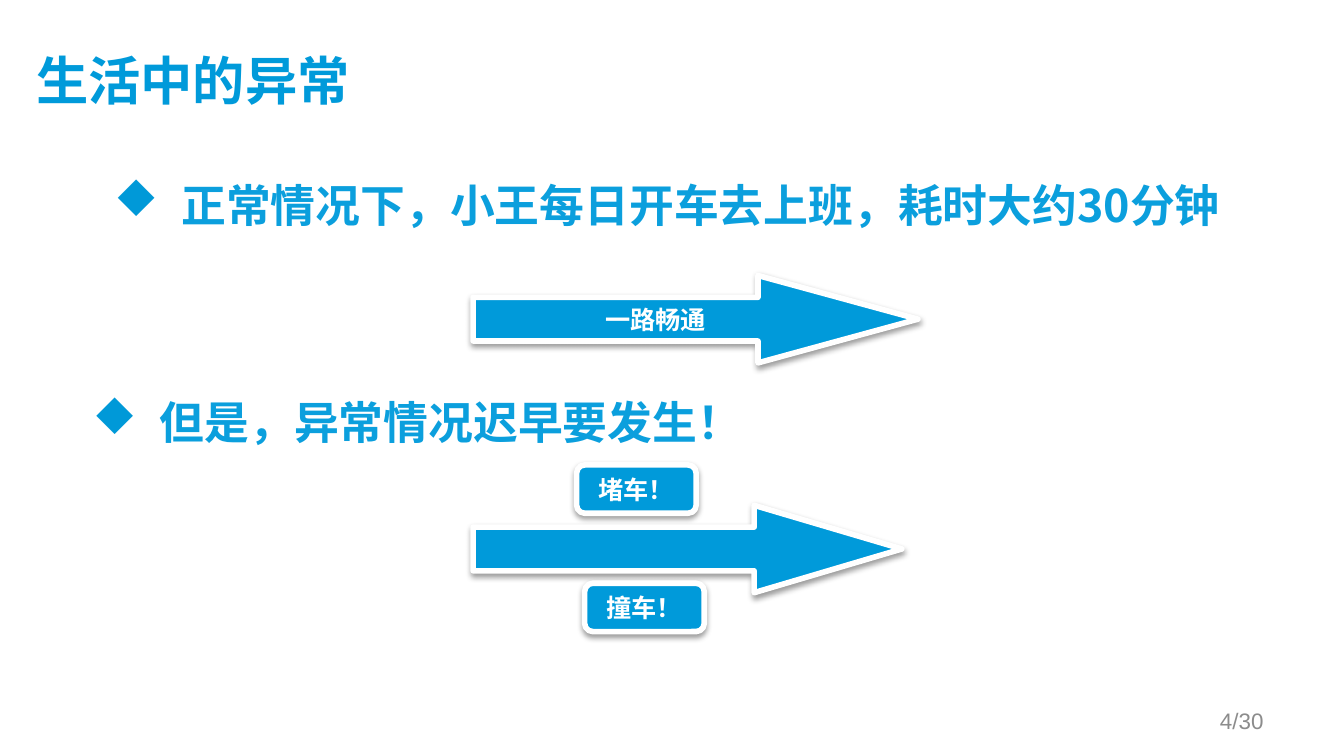
from lxml import etree
from pptx import Presentation
from pptx.dml.color import RGBColor
from pptx.enum.shapes import MSO_SHAPE
from pptx.enum.text import MSO_ANCHOR, PP_ALIGN
from pptx.oxml.ns import qn
from pptx.util import Inches, Pt

ARROW, BADGE = MSO_SHAPE.RIGHT_ARROW, MSO_SHAPE.ROUNDED_RECTANGLE
TOP, MIDDLE = MSO_ANCHOR.TOP, MSO_ANCHOR.MIDDLE
LEFT, CENTER, RIGHT = PP_ALIGN.LEFT, PP_ALIGN.CENTER, PP_ALIGN.RIGHT

COLORS = {"title": "009ADA", "bullet": "0099D8", "body": "0B9FDD",
          "white": "FFFFFF", "page": "8C8C8C", "shadow": "000000"}
CJK_FONT = "Noto Sans CJK SC"
DIAMOND = ("Wingdings", "u")  # the diamond glyph of the symbol font

TITLE = ("生活中的异常", (0.27, 0.23, 8.95, 0.77))
PAGE = ("4/30", (7.17, 5.21, 2.33, 0.3))
POINTS = [
    ("正常情况下，小王每日开车去上班，耗时大约30分钟", (0.75, 1.27, 8.49, 3.71)),
    ("但是，异常情况迟早要发生！", (0.59, 2.89, 6.38, 0.47)),
]
# preset, text, box, adjustments
ROAD_EVENTS = [
    (ARROW, "一路畅通", (3.52, 2.05, 3.31, 0.65), (0.5, 1.83)),
    (ARROW, "", (3.52, 3.76, 3.19, 0.65), (0.5, 1.69)),
    (BADGE, "堵车！", (4.29, 3.46, 0.89, 0.36), (0.17,)),
    (BADGE, "撞车！", (4.35, 4.34, 0.89, 0.36), (0.17,)),
]


def write(shape, text, size, color, font=CJK_FONT, bold=True, align=LEFT,
          anchor=TOP, hanging=0, bullet=None):
    frame = shape.text_frame
    frame.word_wrap = True
    frame.vertical_anchor = anchor
    paragraph = frame.paragraphs[0]
    paragraph.alignment = align
    props = paragraph._p.get_or_add_pPr()
    if hanging:
        props.set("marL", str(Inches(hanging)))
        props.set("indent", str(-Inches(hanging)))
    if bullet:
        bullet_font, bullet_char = bullet
        bullet_color = etree.SubElement(props, qn("a:buClr"))
        etree.SubElement(bullet_color, qn("a:srgbClr"), val=COLORS["bullet"])
        etree.SubElement(props, qn("a:buFont"), typeface=bullet_font,
                         pitchFamily="2", charset="2")
        etree.SubElement(props, qn("a:buChar"), char=bullet_char)
    run = paragraph.add_run()
    run.text = text
    run.font.size = Pt(size)
    run.font.bold = bold
    run.font.name = font
    run.font.color.rgb = RGBColor.from_string(COLORS[color])
    latin = run._r.rPr.find(qn("a:latin"))
    latin.addnext(etree.Element(qn("a:ea"), typeface=CJK_FONT))


def add_text(slide, text, box, size, color, **style):
    textbox = slide.shapes.add_textbox(*map(Inches, box))
    write(textbox, text, size, color, **style)
    return textbox


def add_shadow(shape):
    """Drop a soft shadow straight down."""
    shape.shadow.inherit = False
    effects = shape._element.spPr.find(qn("a:effectLst"))
    shadow = etree.SubElement(effects, qn("a:outerShdw"), blurRad=str(Pt(3.1)),
                              dist=str(Pt(1.6)), dir="5400000", rotWithShape="0")
    tint = etree.SubElement(shadow, qn("a:srgbClr"), val=COLORS["shadow"])
    etree.SubElement(tint, qn("a:alpha"), val="38000")


def add_event(slide, preset, text, box, adjustments):
    event = slide.shapes.add_shape(preset, *map(Inches, box))
    for index, value in enumerate(adjustments):
        event.adjustments[index] = value
    event.fill.solid()
    event.fill.fore_color.rgb = RGBColor.from_string(COLORS["title"])
    event.line.color.rgb = RGBColor.from_string(COLORS["white"])
    event.line.width = Pt(3)
    add_shadow(event)
    if text:
        write(event, text, 13.5, "white", font="Calibri", align=CENTER,
              anchor=MIDDLE, hanging=0.25)


def main():
    deck = Presentation()
    deck.slide_width = Inches(10)
    deck.slide_height = deck.slide_width * 9 // 16
    slide = deck.slides.add_slide(deck.slide_layouts[6])

    title = add_text(slide, *TITLE, 28, "title", anchor=MIDDLE).text_frame
    title.margin_left = title.margin_top = 0
    for text, box in POINTS:
        add_text(slide, text, box, 24, "body", hanging=0.5, bullet=DIAMOND)
    for event in ROAD_EVENTS:
        add_event(slide, *event)
    add_text(slide, *PAGE, 12, "page", font="Arial", bold=False,
             align=RIGHT, anchor=MIDDLE)
    deck.save("out.pptx")


if __name__ == "__main__":
    main()
